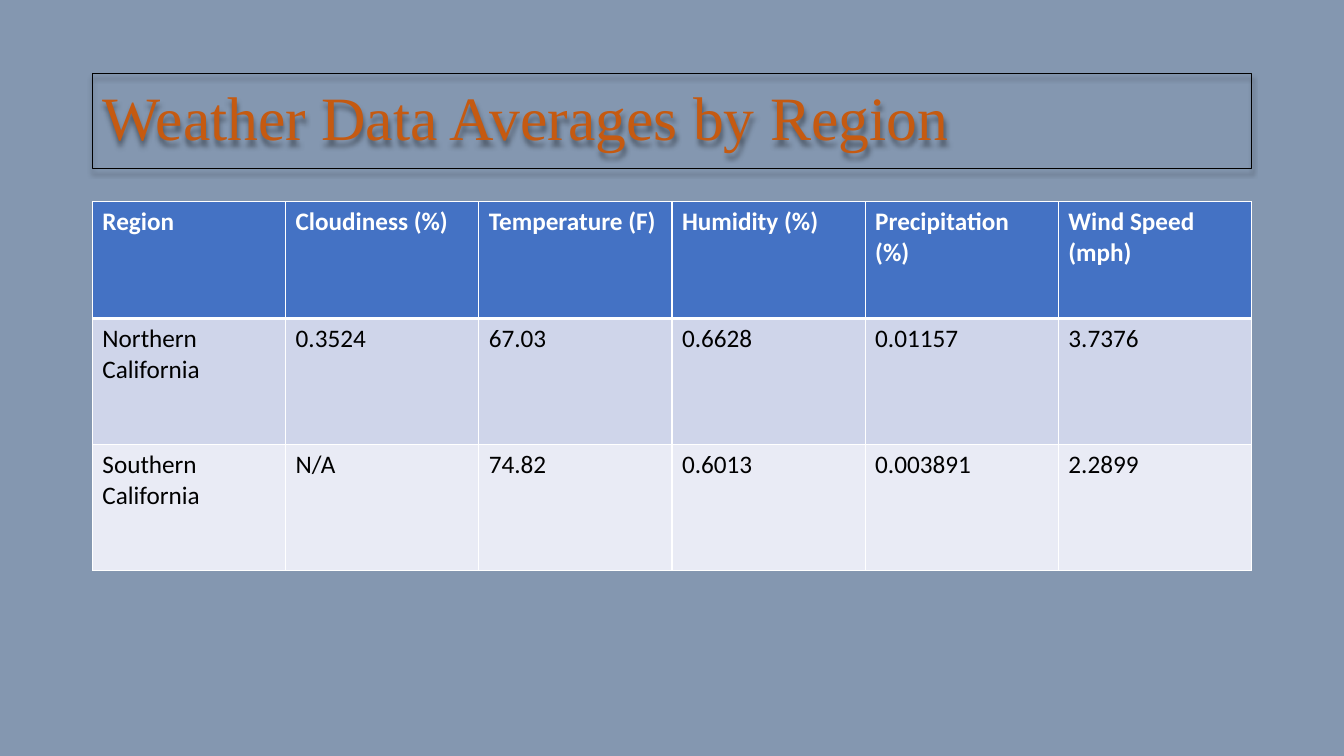
import pptx
import pptx.dml.color
import pptx.enum.text
import pptx.oxml
import pptx.oxml.ns
import pptx.util
from dataclasses import dataclass

Pt = pptx.util.Pt


@dataclass(frozen=True)
class Theme:
    back: str = "8497B0"
    title: str = "C55A11"
    dark: str = "000000"
    light: str = "FFFFFF"
    head: str = "4472C4"
    bands: tuple = ("CFD5EA", "E9EBF5")
    serif: str = "Times New Roman"
    sans: str = "Calibri"
    large: int = 44
    body: int = 18


theme = Theme()
rows = [
    ("Region", "Cloudiness (%)", "Temperature (F)", "Humidity (%)",
     "Precipitation (%)", "Wind Speed (mph)"),
    ("Northern California", "0.3524", "67.03", "0.6628", "0.01157", "3.7376"),
    ("Southern California", "N/A", "74.82", "0.6013", "0.003891", "2.2899"),
]


def rgb(code):
    return pptx.dml.color.RGBColor.from_string(code)


def node(xml):
    return pptx.oxml.parse_xml(xml.replace(">", " " + pptx.oxml.ns.nsdecls("a") + ">", 1))


def style(para, name, size, color, bold=False):
    font = para.font
    font.name, font.size, font.bold = name, Pt(size), bold
    font.color.rgb = rgb(color)


def shade(shape):
    shape._element.spPr.append(node(
        f'<a:effectLst><a:outerShdw blurRad="{Pt(4)}" dist="{Pt(3)}" dir="5400000" '
        f'algn="t" rotWithShape="0"><a:srgbClr val="{theme.dark}">'
        '<a:alpha val="40000"/></a:srgbClr></a:outerShdw></a:effectLst>'))


def edge(cell, side, width):
    cell._tc.get_or_add_tcPr().append(node(
        f'<a:ln{side} w="{Pt(width)}"><a:solidFill><a:srgbClr val="{theme.light}"/>'
        f'</a:solidFill></a:ln{side}>'))


def heading(slide, text, left, top, width, height):
    title = slide.shapes.title
    title.left, title.top = Pt(left), Pt(top)
    title.width, title.height = Pt(width), Pt(height)
    title.line.color.rgb = rgb(theme.dark)
    title.line.width = Pt(0.75)
    shade(title)
    frame = title.text_frame
    frame.text = text
    frame.word_wrap = True
    frame.vertical_anchor = pptx.enum.text.MSO_ANCHOR.MIDDLE
    para = frame.paragraphs[0]
    para.alignment = pptx.enum.text.PP_ALIGN.LEFT
    para.line_spacing = 0.9
    style(para, theme.serif, theme.large, theme.title)


def grid(slide, left, top, width, height, first):
    table = slide.shapes.add_table(
        len(rows), len(rows[0]), Pt(left), Pt(top), Pt(width), Pt(height)).table
    for col in table.columns:
        col.width = Pt(width / len(rows[0]))
    rest = (height - first) / (len(rows) - 1)
    for r, row in enumerate(rows):
        table.rows[r].height = Pt(rest if r else first)
        fill = theme.bands[(r - 1) % 2] if r else theme.head
        ink = theme.dark if r else theme.light
        for c, text in enumerate(row):
            cell = table.cell(r, c)
            for side in "LRTB":
                thick = (r, side) in ((0, "B"), (1, "T"))
                edge(cell, side, 3 if thick else 1)
            cell.fill.solid()
            cell.fill.fore_color.rgb = rgb(fill)
            cell.text = text
            style(cell.text_frame.paragraphs[0], theme.sans, theme.body, ink, r == 0)


def main():
    deck = pptx.Presentation()
    deck.slide_width, deck.slide_height = Pt(960), Pt(540)
    slide = deck.slides.add_slide(deck.slide_layouts.get_by_name("Title Only"))
    slide.background.fill.solid()
    slide.background.fill.fore_color.rgb = rgb(theme.back)
    left, width = 66, 828
    heading(slide, "Weather Data Averages by Region", left, 52.4, width, 68)
    grid(slide, left, 144, width, 263.5, 83.5)
    deck.save("out.pptx")


if __name__ == "__main__":
    main()
